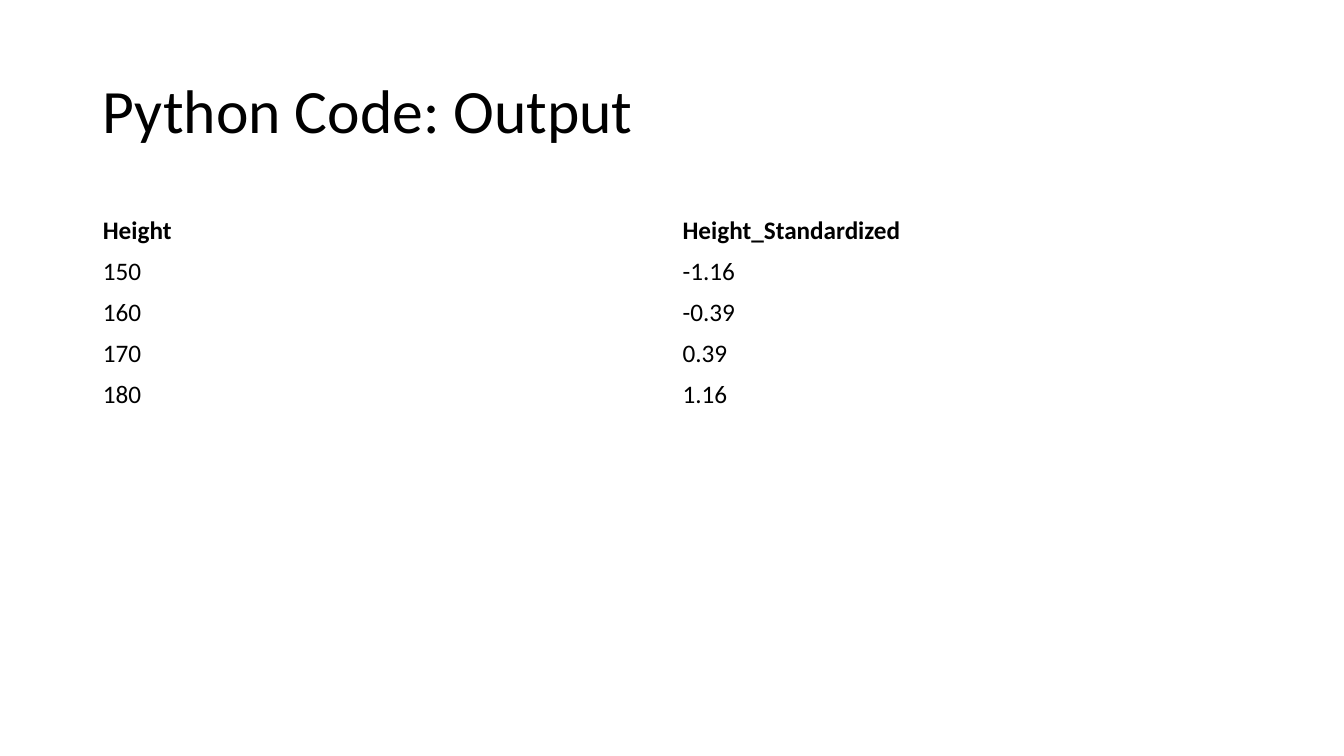
from dataclasses import dataclass
from typing import Any, NamedTuple

from pptx import Presentation
from pptx.dml.color import RGBColor
from pptx.enum.text import MSO_ANCHOR as Anchor, PP_ALIGN as Align
from pptx.util import Inches, Pt


@dataclass(frozen=True)
class Theme:
    font: str = "Calibri"
    ink: RGBColor = RGBColor(0, 0, 0)
    title_size: int = 44
    table_size: int = 18


class Box(NamedTuple):
    left: float
    top: float
    width: float
    height: float


class Measurement(NamedTuple):
    height: str
    standardized: str


THEME = Theme()
TITLE_BOX = Box(0.92, 0.4, 11.5, 1.45)
TABLE_BOX = Box(0.92, 2.09, 11.5, 2)
MEASUREMENTS = [
    Measurement("Height", "Height_Standardized"),
    Measurement("150", "-1.16"),
    Measurement("160", "-0.39"),
    Measurement("170", "0.39"),
    Measurement("180", "1.16"),
]


def apply_format(target: Any, values: dict[str, Any]) -> None:
    for attribute, value in values.items():
        setattr(target, attribute, value)


def format_paragraph(paragraph: Any, size: int, bold: bool, spacing: float) -> None:
    apply_format(paragraph, {"alignment": Align.LEFT, "line_spacing": spacing})
    apply_format(paragraph.font, {"name": THEME.font, "size": Pt(size), "bold": bold})
    paragraph.font.color.rgb = THEME.ink


def draw_title(slide: Any, heading: str) -> None:
    title = slide.shapes.title
    apply_format(title, {side: Inches(length) for side, length in TITLE_BOX._asdict().items()})
    title.text_frame.text = heading
    apply_format(title.text_frame, {"vertical_anchor": Anchor.MIDDLE, "word_wrap": True})
    format_paragraph(title.text_frame.paragraphs[0], THEME.title_size, False, 0.9)


def draw_measurements(slide: Any, measurements: list[Measurement]) -> None:
    table = slide.shapes.add_table(
        len(measurements), len(Measurement._fields), *map(Inches, TABLE_BOX)
    ).table
    apply_format(table, {"first_row": True, "horz_banding": False})
    for row, measurement in enumerate(measurements):
        for column, value in enumerate(measurement):
            cell = table.cell(row, column)
            cell.text = value
            cell.vertical_anchor = Anchor.MIDDLE
            cell.fill.background()
            format_paragraph(cell.text_frame.paragraphs[0], THEME.table_size, row == 0, 1.0)


def main() -> None:
    presentation = Presentation()
    apply_format(presentation, {"slide_width": Inches(13.33), "slide_height": Inches(7.5)})
    slide = presentation.slides.add_slide(presentation.slide_layouts.get_by_name("Title Only"))
    draw_title(slide, "Python Code: Output")
    draw_measurements(slide, MEASUREMENTS)
    presentation.save("out.pptx")


if __name__ == "__main__":
    main()
